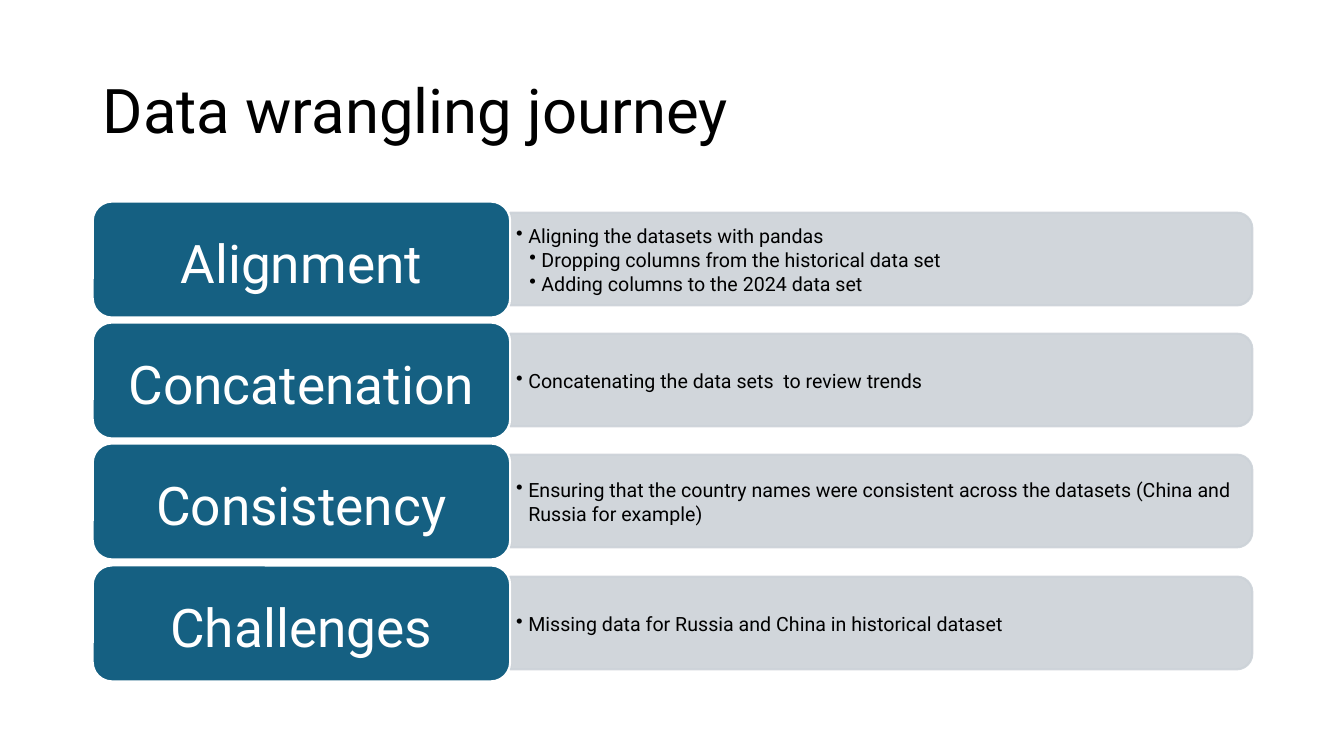
from lxml.etree import SubElement as Sub
from pptx import Presentation
from pptx.dml.color import RGBColor as Color
from pptx.enum.shapes import MSO_SHAPE as Shape
from pptx.enum.text import MSO_ANCHOR as Anchor, PP_ALIGN as Align
from pptx.oxml.ns import qn
from pptx.util import Pt

SCALE = 9144
COLORS = {"black": "000000", "white": "FFFFFF", "blue": "156082", "gray": "CCD2D8"}
ROWS = [
    ("Alignment", [
        (0, "Aligning the datasets with pandas"),
        (1, "Dropping columns from the historical data set"),
        (1, "Adding columns to the 2024 data set"),
    ]),
    ("Concatenation", [(0, "Concatenating the data sets  to review trends")]),
    ("Consistency", [
        (0, "Ensuring that the country names were consistent across the datasets (China and Russia for example)"),
    ]),
    ("Challenges", [(0, "Missing data for Russia and China in historical dataset")]),
]


def px(*sizes):
    return [size * SCALE for size in sizes]


def write(para, text, size=14, color="black", align=Align.LEFT, lines=None, after=0):
    para.alignment = align
    para.space_before = Pt(0)
    para.space_after = Pt(after)
    para.line_spacing = lines
    run = para.add_run()
    run.text = text
    run.font.name = "Roboto"
    run.font.size = Pt(size)
    run.font.color.rgb = Color.from_string(COLORS[color])


class Deck:
    def __init__(self, wide, high):
        self.show = Presentation()
        self.show.slide_width, self.show.slide_height = px(wide, high)
        self.slide = self.show.slides.add_slide(self.show.slide_layouts[5])

    def frame(self, shape, *edges):
        frame = shape.text_frame
        frame.word_wrap = True
        frame.vertical_anchor = Anchor.MIDDLE
        (frame.margin_left, frame.margin_top,
         frame.margin_right, frame.margin_bottom) = px(*edges)
        return frame

    def title(self, text, *place):
        shape = self.slide.shapes.title
        shape.left, shape.top, shape.width, shape.height = px(*place)
        frame = self.frame(shape, 10, 5, 10, 5)
        write(frame.paragraphs[0], text, size=44, lines=0.9)

    def block(self, kind, place, fill, line, alpha=None):
        shape = self.slide.shapes.add_shape(kind, *px(*place))
        shape.shadow.inherit = False
        shape.fill.solid()
        shape.fill.fore_color.rgb = Color.from_string(COLORS[fill])
        shape.line.color.rgb = Color.from_string(COLORS[line])
        shape.line.width = Pt(1.5)
        if alpha:
            for color in shape.element.spPr.iter(qn("a:srgbClr")):
                Sub(color, qn("a:alpha"), val=str(alpha * 1000))
        return shape

    def panel(self, left, top, width, height):
        shift = (width - height) // 2
        place = left + shift, top - shift, height, width
        shape = self.block(Shape.ROUND_2_SAME_RECTANGLE, place, "gray", "gray", 90)
        shape.rotation = 90

    def label(self, text, *place):
        shape = self.block(Shape.ROUNDED_RECTANGLE, place, "blue", "white")
        frame = self.frame(shape, 16, 14, 16, 8)
        write(frame.paragraphs[0], text, size=38, color="white", align=Align.CENTER)

    def list(self, items, *place):
        box = self.slide.shapes.add_textbox(*px(*place))
        frame = self.frame(box, 6, 3, 6, 3)
        for i, (level, text) in enumerate(items):
            para = frame.add_paragraph() if i else frame.paragraphs[0]
            last = i == len(items) - 1
            write(para, text, lines=0.9 if level else None, after=0 if last else 2.1)
            para.level = level + 1
            props = para._p.get_or_add_pPr()
            left, hang = px(25 if level else 12, -12)
            props.set("marL", str(left))
            props.set("indent", str(hang))
            Sub(props, qn("a:buChar"), char="•")


def main():
    deck = Deck(1333, 750)
    deck.title("Data wrangling journey", 92, 40, 1150, 145)
    for i, (name, items) in enumerate(ROWS):
        top = 200 + i * 361 // 3
        deck.panel(506, top + 11, 736, 92)
        deck.list(items, 506, top + 16, 732, 83)
        deck.label(name, 92, top, 414, 115)
    deck.show.save("out.pptx")


if __name__ == "__main__":
    main()
